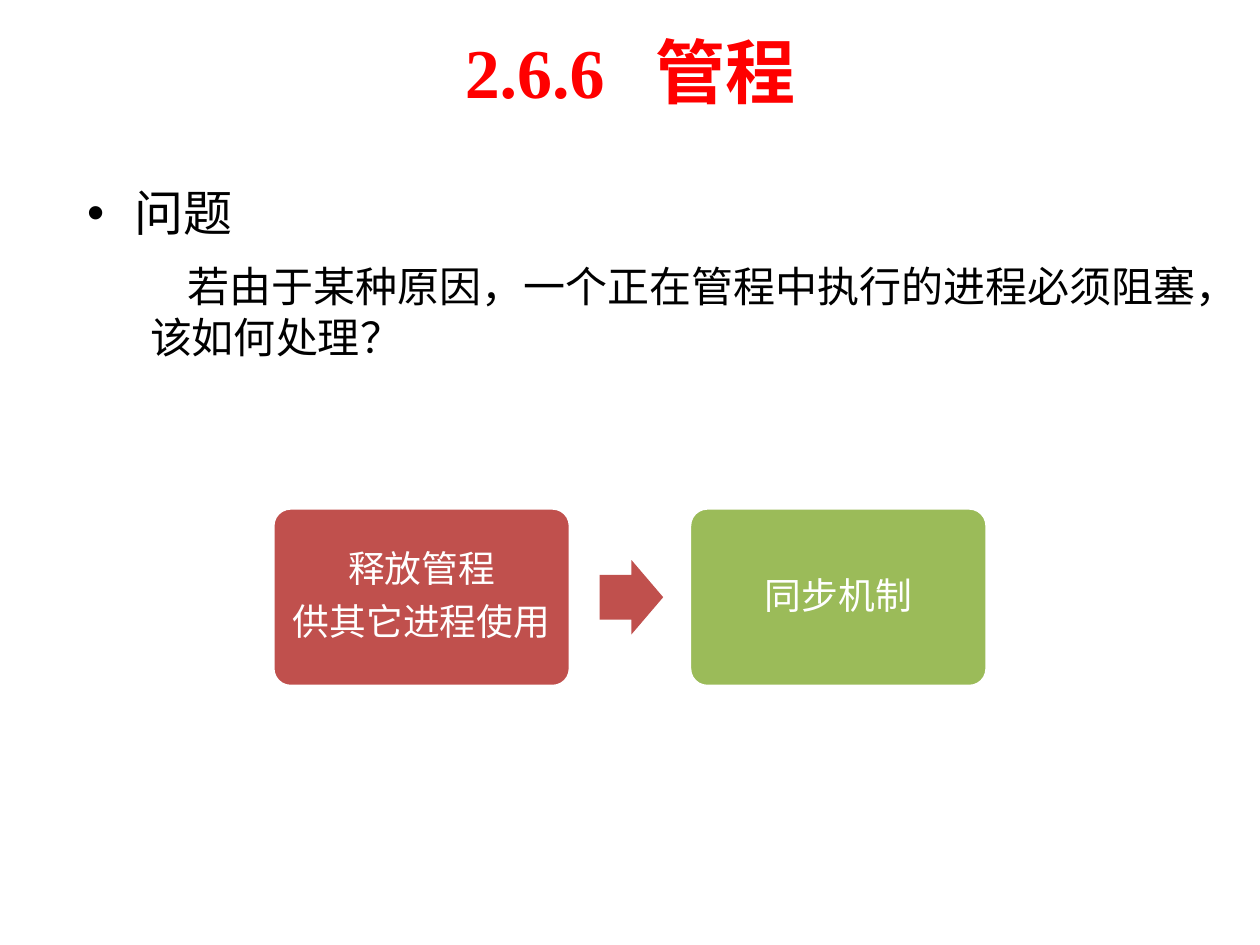
from dataclasses import dataclass

from lxml import etree
from pptx import Presentation
from pptx import util as u
from pptx.dml.color import RGBColor
from pptx.enum import shapes, text
from pptx.oxml.ns import qn

COLORS = {"red": "FF0000", "black": "000000", "white": "FFFFFF",
          "brick": "C0504D", "green": "9BBB59"}
SHAPE = shapes.MSO_SHAPE
ALIGN = text.PP_ALIGN

# Flow geometry in centimetres
WIDTH, HEIGHT = 25.4, 19.05
BOX_W, BOX_H, GAP = 6.0, 3.6, 2.4
ARROW_W, ARROW_H = 1.28, 1.5
MID_Y = 12.04


@dataclass
class Step:
    lines: list[str]
    fill: str


def rgb(name: str) -> RGBColor:
    return RGBColor.from_string(COLORS[name])


def write(para, words: str, *, size: float, font: str, color: str,
          bold: bool = False, align=None, track: float = 0) -> None:
    """Add one formatted run; track is extra letter spacing in points."""
    run = para.add_run()
    run.text = words
    run.font.size = u.Pt(size)
    run.font.name = font
    run.font.bold = bold
    run.font.color.rgb = rgb(color)
    if align is not None:
        para.alignment = align
    if track:
        run._r.get_or_add_rPr().set("spc", str(round(track * 100)))


def indent(para, left: float, first: float, bullet: str = "") -> None:
    props = para._p.get_or_add_pPr()
    props.set("marL", str(u.Cm(left)))
    props.set("indent", str(u.Cm(first)))
    if bullet:
        etree.SubElement(props, qn("a:buFont")).set("typeface", "Arial")
        etree.SubElement(props, qn("a:buChar")).set("char", bullet)
    else:
        etree.SubElement(props, qn("a:buNone"))


def place(item, left: float, top: float, width: float, height: float) -> None:
    item.left, item.top = u.Cm(left), u.Cm(top)
    item.width, item.height = u.Cm(width), u.Cm(height)


def block(slide, kind, mid: float, width: float, height: float,
          fill: str, adjust: list[float]):
    """Draw a filled shape centred at mid on the flow line."""
    item = slide.shapes.add_shape(
        kind, u.Cm(mid - width / 2), u.Cm(MID_Y - height / 2),
        u.Cm(width), u.Cm(height))
    item.shadow.inherit = False
    item.fill.solid()
    item.fill.fore_color.rgb = rgb(fill)
    item.line.fill.background()
    for i, value in enumerate(adjust):
        item.adjustments[i] = value
    return item


def card(slide, step: Step, mid: float) -> None:
    item = block(slide, SHAPE.ROUNDED_RECTANGLE, mid, BOX_W, BOX_H,
                 step.fill, [0.1])
    item.line.color.rgb = rgb("white")
    item.line.width = u.Pt(2)
    frame = item.text_frame
    frame.word_wrap = True
    frame.vertical_anchor = text.MSO_ANCHOR.MIDDLE
    for i, line in enumerate(step.lines):
        para = frame.add_paragraph() if i else frame.paragraphs[0]
        para.line_spacing = 0.9
        para.space_after = u.Pt(7.35)
        write(para, line, size=21, font="Calibri", color="white",
              align=ALIGN.CENTER)


def main() -> None:
    deck = Presentation()
    deck.slide_width, deck.slide_height = u.Cm(WIDTH), u.Cm(HEIGHT)
    slide = deck.slides.add_slide(deck.slide_layouts[1])

    # Title, with a widened space after the number
    title = slide.shapes.title
    place(title, 1.27, 0.13, 22.86, 2.59)
    title.text_frame.auto_size = text.MSO_AUTO_SIZE.NONE
    title.text_frame.vertical_anchor = text.MSO_ANCHOR.MIDDLE
    for words, track in (("2.6.6", 0), (" ", 19), ("管程", 0)):
        write(title.text_frame.paragraphs[0], words, size=40,
              font="Times New Roman", color="red", bold=True,
              align=ALIGN.CENTER, track=track)

    # Question
    body = slide.placeholders[1]
    place(body, 1.5, 3.56, 23.19, 11.96)
    frame = body.text_frame
    frame.auto_size = text.MSO_AUTO_SIZE.NONE
    head = frame.paragraphs[0]
    indent(head, 0.95, -0.95, "•")
    head.space_before, head.space_after = u.Pt(0), u.Pt(6)
    write(head, "问题", size=28, font="Times New Roman", color="black")
    ask = frame.add_paragraph()
    ask.level = 1
    indent(ask, 1.27, 0.75)
    ask.space_before, ask.space_after = u.Pt(5), u.Pt(5)
    write(ask, "若由于某种原因，一个正在管程中执行的进程必须阻塞，该如何处理？",
          size=24, font="Arial", color="black")

    # Flow: steps centred on the slide, an arrow between neighbours
    steps = [Step(["释放管程", "供其它进程使用"], "brick"),
             Step(["同步机制"], "green")]
    pitch = BOX_W + GAP
    start = WIDTH / 2 - pitch * (len(steps) - 1) / 2
    for i, step in enumerate(steps):
        mid = start + i * pitch
        card(slide, step, mid)
        if i < len(steps) - 1:
            block(slide, SHAPE.RIGHT_ARROW, mid + pitch / 2 + 0.03,
                  ARROW_W, ARROW_H, step.fill, [0.6, 0.5])

    deck.save("out.pptx")


if __name__ == "__main__":
    main()
